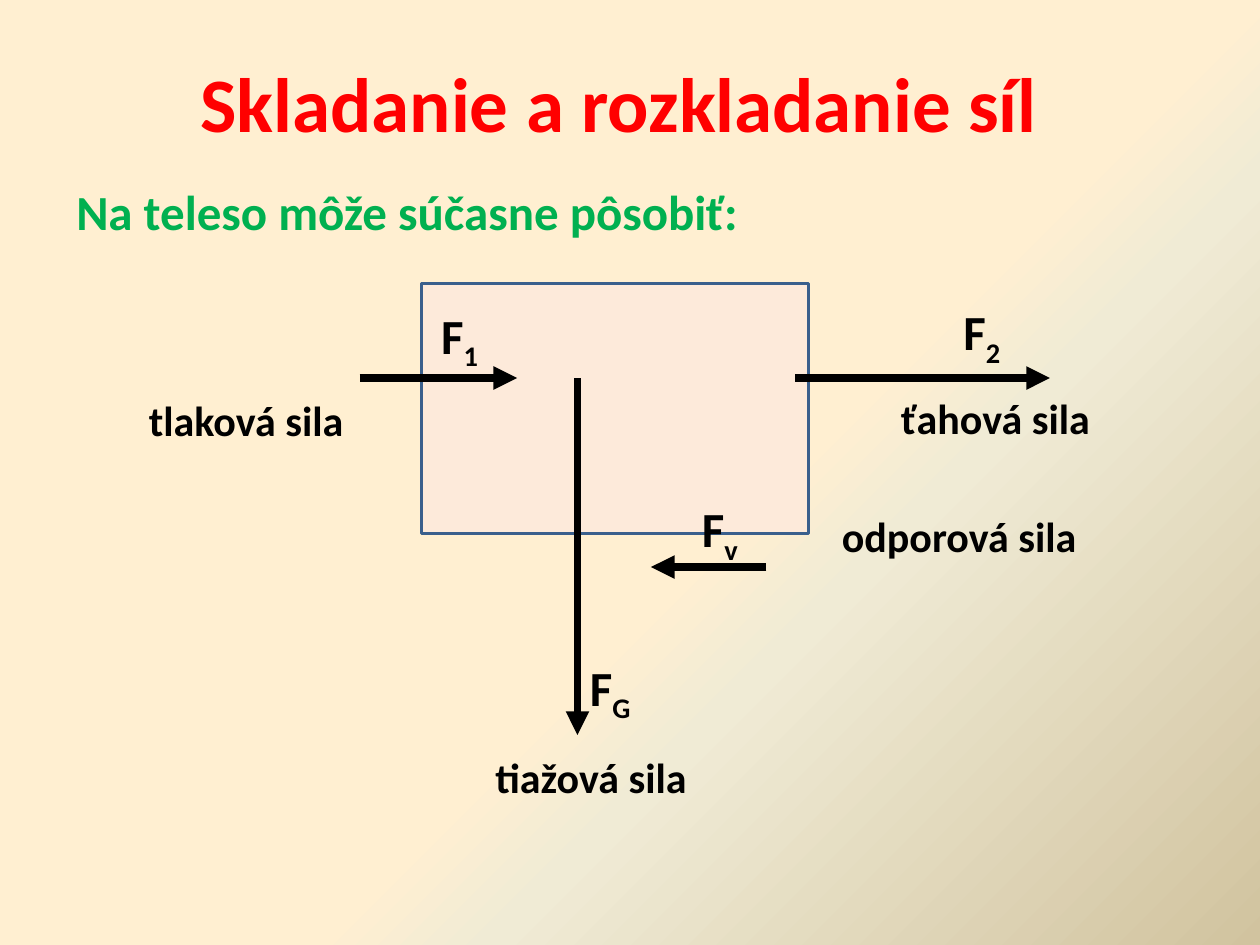
from copy import deepcopy
from dataclasses import dataclass

from lxml import etree
from pptx import Presentation
from pptx import util as u
from pptx.dml.color import RGBColor
from pptx.enum import shapes, text
from pptx.oxml import ns


@dataclass(frozen=True)
class Theme:
    font: str = "Calibri"
    title_size: int = 44
    symbol_size: int = 28
    label_size: int = 24
    title: str = "FF0000"
    heading: str = "00B050"
    ink: str = "000000"
    body_fill: str = "FDEADA"
    body_line: str = "3A5F8C"
    background: tuple = ((57, "FFEFD1"), (65, "F0EBD5"), (100, "D1C39F"))


THEME = Theme()

# Boxes are (left, top, width, height) in points.
TITLE = ("Skladanie a rozkladanie síl", (48, 0, 612, 116))
HEADING = ("Na teleso môže súčasne pôsobiť:", (36.5, 100, 414, 41))
BODY = (241, 162, 221, 143)
LABEL_HEIGHT, SYMBOL_HEIGHT = 36, 41

# Each arrow runs from start to end; labels and symbols have left, top, width.
FORCES = [
    dict(start=(205.5, 216), end=(295.5, 216), subscript="1", symbol_at=(245, 171, 78),
         label="tlaková sila", label_at=(78, 222, 174)),
    dict(start=(454.5, 216), end=(600, 216), subscript="2", symbol_at=(543.5, 169, 72),
         label="ťahová sila", label_at=(508, 220.5, 162)),
    dict(start=(330, 216), end=(330, 420), subscript="G", symbol_at=(330, 372, 66),
         label="tiažová sila", label_at=(276, 426, 144)),
    dict(start=(438, 324), end=(372, 324), subscript="v", symbol_at=(394, 281.5, 54),
         label="odporová sila", label_at=(474, 288, 180)),
]


def points(values):
    return [u.Pt(value) for value in values]


def paint_background(slide):
    fill = slide.background.fill
    fill.gradient()
    fill.gradient_angle = 315
    stop_list = fill.gradient_stops[0]._gs.getparent()
    while len(stop_list) < len(THEME.background):
        stop_list.append(deepcopy(stop_list[0]))
    for stop, (position, color) in zip(fill.gradient_stops, THEME.background):
        stop.color.rgb = RGBColor.from_string(color)
        stop.position = position / 100


def add_run(paragraph, words, size, color, subscript=False):
    run = paragraph.add_run()
    run.text = words
    run.font.name = THEME.font
    run.font.size = u.Pt(size)
    run.font.bold = True
    run.font.color.rgb = RGBColor.from_string(color)
    if subscript:
        run._r.get_or_add_rPr().set("baseline", "-25000")


def add_title(slide):
    words, box = TITLE
    title = slide.shapes.title
    title.left, title.top, title.width, title.height = points(box)
    title.text_frame.vertical_anchor = text.MSO_ANCHOR.MIDDLE
    paragraph = title.text_frame.paragraphs[0]
    paragraph.alignment = text.PP_ALIGN.CENTER
    add_run(paragraph, words, THEME.title_size, THEME.title)


def add_text_line(slide, box):
    """Add a wrapping text box and return its empty paragraph."""
    frame = slide.shapes.add_textbox(*points(box)).text_frame
    frame.word_wrap = True
    frame.auto_size = text.MSO_AUTO_SIZE.SHAPE_TO_FIT_TEXT
    return frame.paragraphs[0]


def add_body(slide):
    body = slide.shapes.add_shape(shapes.MSO_SHAPE.RECTANGLE, *points(BODY))
    body.shadow.inherit = False
    body.fill.solid()
    body.fill.fore_color.rgb = RGBColor.from_string(THEME.body_fill)
    body.line.color.rgb = RGBColor.from_string(THEME.body_line)
    body.line.width = u.Pt(2)


def add_arrow(slide, start, end):
    arrow = slide.shapes.add_connector(
        shapes.MSO_CONNECTOR.STRAIGHT, *points(start + end))
    arrow.line.color.rgb = RGBColor.from_string(THEME.ink)
    arrow.line.width = u.Pt(4.5)
    etree.SubElement(arrow.line._get_or_add_ln(), ns.qn("a:tailEnd"), type="triangle")
    etree.SubElement(arrow._element.spPr, ns.qn("a:effectLst"))


def add_force(slide, force):
    add_arrow(slide, force["start"], force["end"])
    label = add_text_line(slide, (*force["label_at"], LABEL_HEIGHT))
    add_run(label, force["label"], THEME.label_size, THEME.ink)
    symbol = add_text_line(slide, (*force["symbol_at"], SYMBOL_HEIGHT))
    add_run(symbol, "F", THEME.symbol_size, THEME.ink)
    add_run(symbol, force["subscript"], THEME.symbol_size, THEME.ink, subscript=True)


def main():
    presentation = Presentation()
    presentation.slide_width, presentation.slide_height = points((720, 540))
    slide = presentation.slides.add_slide(presentation.slide_layouts[5])
    paint_background(slide)
    add_title(slide)
    words, box = HEADING
    add_run(add_text_line(slide, box), words, THEME.symbol_size, THEME.heading)
    add_body(slide)
    for force in FORCES:
        add_force(slide, force)
    presentation.save("out.pptx")


if __name__ == "__main__":
    main()
